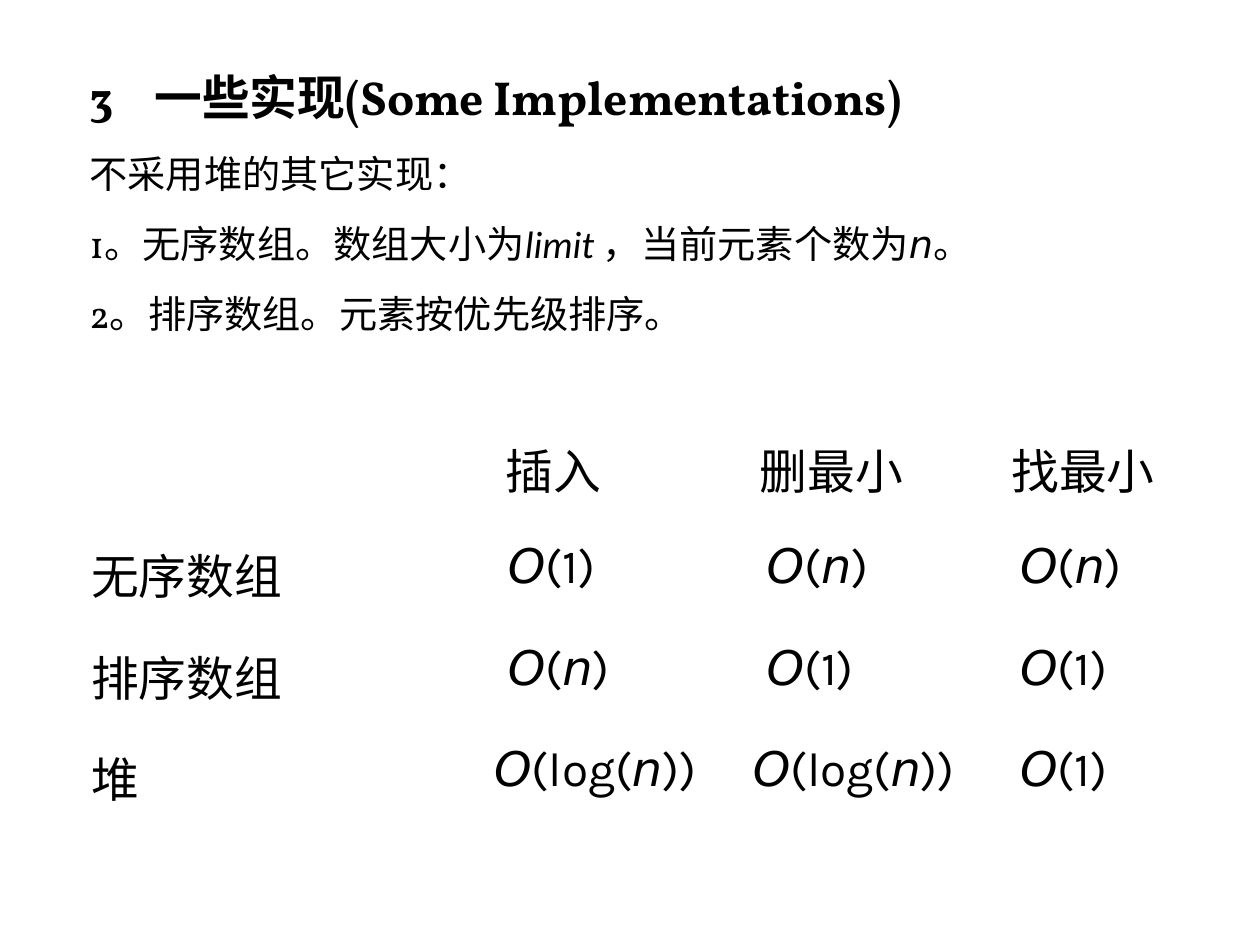
from itertools import groupby

from lxml import etree
from pptx import Presentation
from pptx.dml.color import RGBColor
from pptx.enum.text import MSO_ANCHOR, MSO_AUTO_SIZE, PP_ALIGN
from pptx.oxml.ns import qn
from pptx.util import Pt

EMU_PER_PX = 9144  # 100 px to the inch
TOP = MSO_ANCHOR.TOP
NO_FIT = MSO_AUTO_SIZE.NONE
LEFT = PP_ALIGN.LEFT
BLACK = "000000"
TEXT_FONT, SYMBOL_FONT, MATH_FONT = "Vollkorn", "DejaVu Sans", "Karla"
MARGIN_LEFT, CONTENT_WIDTH = 92, 1317

NUMBER, HEADING = "3", "一些实现(Some Implementations)"
NUMBER_GAP = 26
PLAIN = {"name": TEXT_FONT, "italic": False}
BODY = [
    [("不采用堆的其它实现：", PLAIN)],
    [
        ("1。无序数组。数组大小为", PLAIN),
        ("limit ", {"name": "Calibri", "italic": True}),
        ("，当前元素个数为", PLAIN),
        ("n", {"name": SYMBOL_FONT, "italic": True}),
        ("。", PLAIN),
    ],
    [("2。排序数组。元素按优先级排序。", PLAIN)],
]
COSTS = [
    ["", "插入", "删最小", "找最小"],
    ["无序数组", "O(1)", "O(n)", "O(n)"],
    ["排序数组", "O(n)", "O(1)", "O(1)"],
    ["堆", "O(log(n))", "O(log(n))", "O(1)"],
]
COLUMN_WIDTHS = [466, 301, 301, 249]
ROW_HEIGHTS = [123, 118, 118, 124]
HEADER_INSETS = [14, 30, 25, 17]
COST_INSETS = [14, 33, 33, 27]
LOG_INSET = 17


def px(length):
    return length * EMU_PER_PX


def color(hex_value):
    return RGBColor.from_string(hex_value)


def add_span(para, text, size, **style):
    span = para.add_run()
    span.text = text
    span.font.size = Pt(size)
    span.font.color.rgb = color(BLACK)
    for name, value in style.items():
        setattr(span.font, name, value)
    return span


def use_east_asian_font(span, typeface):
    properties = span._r.get_or_add_rPr()
    etree.SubElement(properties, qn("a:ea"), typeface=typeface)


def widen_span(span, points):
    span._r.get_or_add_rPr().set("spc", str(points * 100))


def format_para(para, line_height, space_before=0):
    """Set a plain left-aligned paragraph with a fixed line height."""
    values = {
        "alignment": LEFT,
        "line_spacing": Pt(line_height),
        "space_before": Pt(space_before),
    }
    for name, value in values.items():
        setattr(para, name, value)
    properties = para._p.get_or_add_pPr()
    properties.set("marL", "0")
    properties.set("indent", "0")
    etree.SubElement(properties, qn("a:buNone"))


def place(box, top, height):
    """Move a placeholder and return its text frame, set for top-left text."""
    box.left, box.top = px(MARGIN_LEFT), px(top)
    box.width, box.height = px(CONTENT_WIDTH), px(height)
    frame = box.text_frame
    values = {
        "word_wrap": True,
        "auto_size": NO_FIT,
        "vertical_anchor": TOP,
        "margin_left": px(12),
        "margin_right": px(10),
        "margin_top": px(5),
        "margin_bottom": px(5),
    }
    for name, value in values.items():
        setattr(frame, name, value)
    return frame


def fill_title(box):
    para = place(box, 75, 77).paragraphs[0]
    format_para(para, 47.5)
    for text in (NUMBER, " ", HEADING):
        span = add_span(para, text, 40, name=TEXT_FONT, bold=True)
        use_east_asian_font(span, TEXT_FONT)
        if text == " ":
            widen_span(span, NUMBER_GAP)


def fill_body(box):
    frame = place(box, 169, 228)
    for index, spans in enumerate(BODY):
        para = frame.add_paragraph() if index else frame.paragraphs[0]
        format_para(para, 39.5, 19.2 if index else 0)
        for text, style in spans:
            span = add_span(para, text, 32, **style)
            use_east_asian_font(span, TEXT_FONT)


def write_cost(para, text):
    """Write a formula with its symbols O and n in italics."""
    for is_symbol, letters in groupby(text, lambda letter: letter in "On"):
        font = SYMBOL_FONT if is_symbol else MATH_FONT
        add_span(para, "".join(letters), 40, name=font, italic=is_symbol)


def fill_cell(cell, text, inset):
    cell.fill.background()
    cell.vertical_anchor = TOP
    cell.margin_left = px(inset)
    para = cell.text_frame.paragraphs[0]
    if text.startswith("O("):
        write_cost(para, text)
    elif text:
        add_span(para, text, 40, name=TEXT_FONT)


def add_cost_table(page):
    table = page.shapes.add_table(
        len(ROW_HEIGHTS), len(COLUMN_WIDTHS), px(MARGIN_LEFT), px(500),
        px(CONTENT_WIDTH), px(sum(ROW_HEIGHTS)),
    ).table
    table.first_row = False
    table.horz_banding = False
    for column, width in zip(table.columns, COLUMN_WIDTHS):
        column.width = px(width)
    for row, height in zip(table.rows, ROW_HEIGHTS):
        row.height = px(height)
    for row_index, texts in enumerate(COSTS):
        insets = COST_INSETS if row_index else HEADER_INSETS
        for column_index, text in enumerate(texts):
            inset = LOG_INSET if "log" in text else insets[column_index]
            fill_cell(table.cell(row_index, column_index), text, inset)


def main():
    deck = Presentation()
    deck.slide_width, deck.slide_height = px(1466), px(1100)
    page = deck.slides.add_slide(deck.slide_layouts[1])
    fill_title(page.shapes.title)
    fill_body(page.placeholders[1])
    add_cost_table(page)
    deck.save("out.pptx")


if __name__ == "__main__":
    main()
